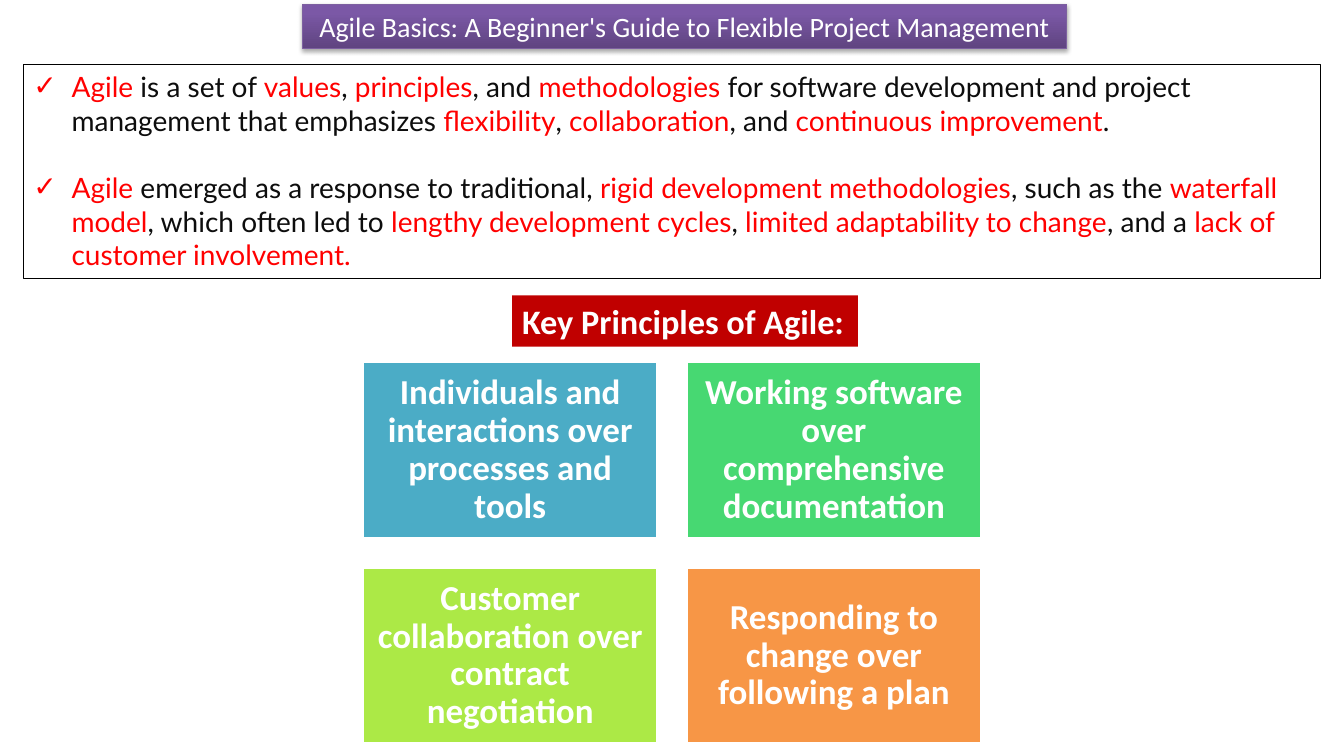
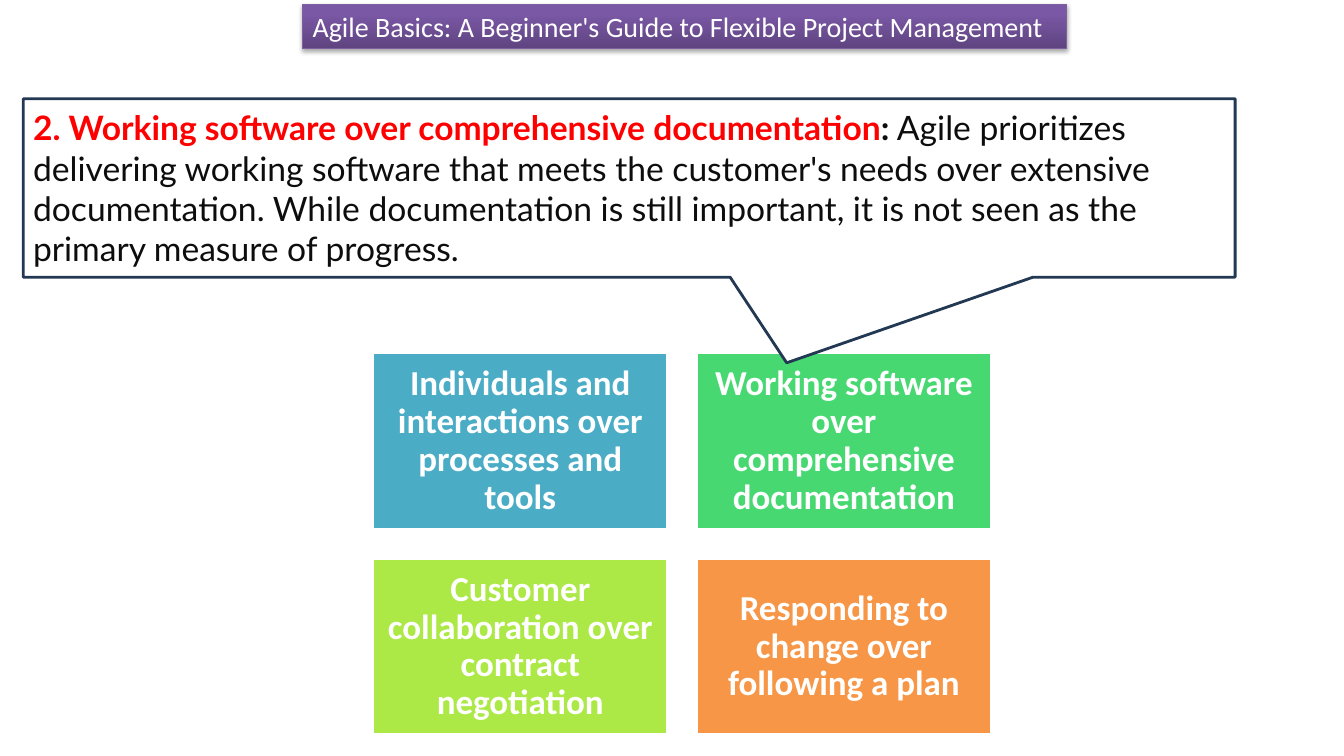
from dataclasses import dataclass

from lxml import etree
from pptx import Presentation
from pptx.dml.color import RGBColor
from pptx.enum import shapes, text
from pptx.oxml import ns
from pptx.util import Inches, Pt


@dataclass(frozen=True)
class Theme:
    """Colours, fonts and type sizes shared by the slides."""

    white: str = "FFFFFF"
    black: str = "000000"
    ink: str = "0D0D0D"
    accent: str = "FF0000"
    label: str = "C00000"
    callout_line: str = "233953"
    band_dark: str = "5F4480"
    band_light: str = "7B58A6"
    band_line: str = "7D60A0"
    tiles: tuple = ("4BACC6", "47D872", "ACE946", "F79646")
    heading_font: str = "Calibri"
    body_font: str = "Lato"
    title_size: float = 20
    body_size: float = 20
    callout_size: float = 24
    label_size: float = 24.5
    tile_size: float = 25


THEME = Theme()
TITLE = "Agile Basics: A Beginner's Guide to Flexible Project Management"
TITLE_BOX = (3, 0.04, 7.58, 0.44)
PRINCIPLES = (
    "Individuals and interactions over processes and tools",
    "Working software over comprehensive documentation",
    "Customer collaboration over contract negotiation",
    "Responding to change over following a plan",
)
DEFINITIONS = (
    ("Agile", " is a set of ", "values", ", ", "principles", ", and ", "methodologies",
     " for software development and project management that emphasizes ", "flexibility",
     ", ", "collaboration", ", and ", "continuous", " ", "improvement", "."),
    ("Agile", " emerged as a response to traditional, ", "rigid development methodologies",
     ", such as the ", "waterfall", " ", "model", ", which often led to ",
     "lengthy development cycles", ", ", "limited adaptability to change", ", and a ",
     "lack of customer involvement."),
)


def rgb(value):
    """Return a colour from its hexadecimal name."""
    return RGBColor.from_string(value)


def place(shape, box):
    """Move a shape to a box given in inches."""
    shape.left, shape.top, shape.width, shape.height = map(Inches, box)


def paint(shape, fill, line=None, width=0):
    """Give a shape a solid fill and an optional outline."""
    shape.fill.solid()
    shape.fill.fore_color.rgb = rgb(fill)
    if line:
        shape.line.color.rgb = rgb(line)
        shape.line.width = Pt(width)
    else:
        shape.line.fill.background()


def add_box(slide, kind, box, fill, line=None, width=0):
    """Add a flat preset shape."""
    shape = slide.shapes.add_shape(kind, *map(Inches, box))
    shape.shadow.inherit = False
    paint(shape, fill, line, width)
    return shape


def set_frame(shape, anchor, wrap=True):
    """Set up the text frame of a shape and return it."""
    frame = shape.text_frame
    frame.auto_size = text.MSO_AUTO_SIZE.NONE
    frame.word_wrap = wrap
    frame.vertical_anchor = anchor
    return frame


def write(paragraph, content, font, size, colour, bold=False):
    """Add one formatted run to a paragraph."""
    run = paragraph.add_run()
    run.text = content
    run.font.name = font
    run.font.size = Pt(size)
    run.font.color.rgb = rgb(colour)
    run.font.bold = bold


def add_shadow(shape):
    """Add a soft shadow below a shape."""
    effects = etree.SubElement(shape.element.spPr, ns.qn("a:effectLst"))
    shadow = etree.SubElement(
        effects, ns.qn("a:outerShdw"), blurRad=str(Pt(3.1)), dist=str(Pt(1.8)),
        dir="5400000", rotWithShape="0")
    colour = etree.SubElement(shadow, ns.qn("a:srgbClr"), val=THEME.black)
    etree.SubElement(colour, ns.qn("a:alpha"), val="35000")


def set_title(slide, alignment):
    """Turn the title placeholder into the purple title band."""
    title = slide.shapes.title
    place(title, TITLE_BOX)
    title.fill.gradient()
    title.fill.gradient_angle = 90
    colours = ((0, THEME.band_dark), (0.8, THEME.band_light))
    for stop, (position, colour) in zip(title.fill.gradient_stops, colours):
        stop.position = position
        stop.color.rgb = rgb(colour)
    title.line.color.rgb = rgb(THEME.band_line)
    title.line.width = Pt(0.75)
    add_shadow(title)
    paragraph = set_frame(title, text.MSO_ANCHOR.TOP).paragraphs[0]
    paragraph.alignment = alignment
    write(paragraph, TITLE, THEME.heading_font, THEME.title_size, THEME.white)


def set_check_bullet(paragraph):
    """Give a paragraph a check mark and a hanging indent."""
    properties = paragraph._p.get_or_add_pPr()
    properties.set("marL", str(Inches(0.38)))
    properties.set("indent", str(-Inches(0.38)))
    etree.SubElement(properties, ns.qn("a:buChar"), char="✓")


def set_definitions(slide, box):
    """Fill the body placeholder with the checked list."""
    body = slide.placeholders[1]
    place(body, box)
    paint(body, THEME.white, THEME.black, 0.25)
    frame = set_frame(body, text.MSO_ANCHOR.TOP)
    for index, phrases in enumerate(DEFINITIONS):
        paragraph = frame.add_paragraph() if index else frame.paragraphs[0]
        set_check_bullet(paragraph)
        paragraph.space_before = Pt(24 * index)
        for position, phrase in enumerate(phrases):
            colour = THEME.ink if position % 2 else THEME.accent
            write(paragraph, phrase, THEME.body_font, THEME.body_size, colour)


def add_label(slide, box):
    """Add the red label above the principles."""
    label = add_box(slide, shapes.MSO_SHAPE.RECTANGLE, box, THEME.label)
    paragraph = set_frame(label, text.MSO_ANCHOR.TOP, wrap=False).paragraphs[0]
    paragraph.alignment = text.PP_ALIGN.LEFT
    write(paragraph, "Key Principles of Agile:", THEME.heading_font, THEME.label_size,
          THEME.white, bold=True)


def add_principles(slide, left, top):
    """Add the two by two grid of principles."""
    width, height, gap = 2.92, 1.75, 0.29
    for index, (principle, colour) in enumerate(zip(PRINCIPLES, THEME.tiles)):
        row, column = divmod(index, 2)
        box = (left + column * (width + gap), top + row * (height + gap), width, height)
        tile = add_box(slide, shapes.MSO_SHAPE.RECTANGLE, box, colour, THEME.white, 2)
        frame = set_frame(tile, text.MSO_ANCHOR.MIDDLE)
        frame.margin_left = frame.margin_right = Inches(0.1)
        frame.margin_top = frame.margin_bottom = Inches(0.1)
        paragraph = frame.paragraphs[0]
        paragraph.alignment = text.PP_ALIGN.CENTER
        paragraph.line_spacing = 0.9
        write(paragraph, principle, THEME.heading_font, THEME.tile_size, THEME.white,
              bold=True)


def add_callout(slide, box):
    """Add the callout that explains the second principle."""
    callout = add_box(slide, shapes.MSO_SHAPE.RECTANGULAR_CALLOUT, box, THEME.white,
                      THEME.callout_line, 2)
    callout.adjustments[0], callout.adjustments[1] = 0.13, 0.98
    paragraph = set_frame(callout, text.MSO_ANCHOR.MIDDLE).paragraphs[0]
    paragraph.alignment = text.PP_ALIGN.LEFT
    explanation = (
        " Agile prioritizes delivering working software that meets the customer's needs "
        "over extensive documentation. While documentation is still important, it is not "
        "seen as the primary measure of progress.")
    for content, colour, bold in (
        ("2. " + PRINCIPLES[1], THEME.accent, True),
        (":", THEME.ink, True),
        (explanation, THEME.ink, False),
    ):
        write(paragraph, content, THEME.body_font, THEME.callout_size, colour, bold)


def add_overview_slide(presentation):
    """Add the slide that defines Agile and lists its principles."""
    slide = presentation.slides.add_slide(presentation.slide_layouts[1])
    set_title(slide, text.PP_ALIGN.CENTER)
    set_definitions(slide, (0.23, 0.64, 12.86, 2.12))
    add_principles(slide, 3.6, 3.59)
    add_label(slide, (5.08, 2.93, 3.43, 0.51))


def add_principle_slide(presentation):
    """Add the slide that explains one principle."""
    slide = presentation.slides.add_slide(presentation.slide_layouts[5])
    set_title(slide, text.PP_ALIGN.LEFT)
    add_principles(slide, 3.7, 3.5)
    add_callout(slide, (0.23, 0.98, 12.02, 1.77))


def main():
    """Build and save the presentation."""
    presentation = Presentation()
    presentation.slide_width = Inches(13.33)
    presentation.slide_height = Inches(7.5)
    add_overview_slide(presentation)
    add_principle_slide(presentation)
    presentation.save("out.pptx")


if __name__ == "__main__":
    main()
